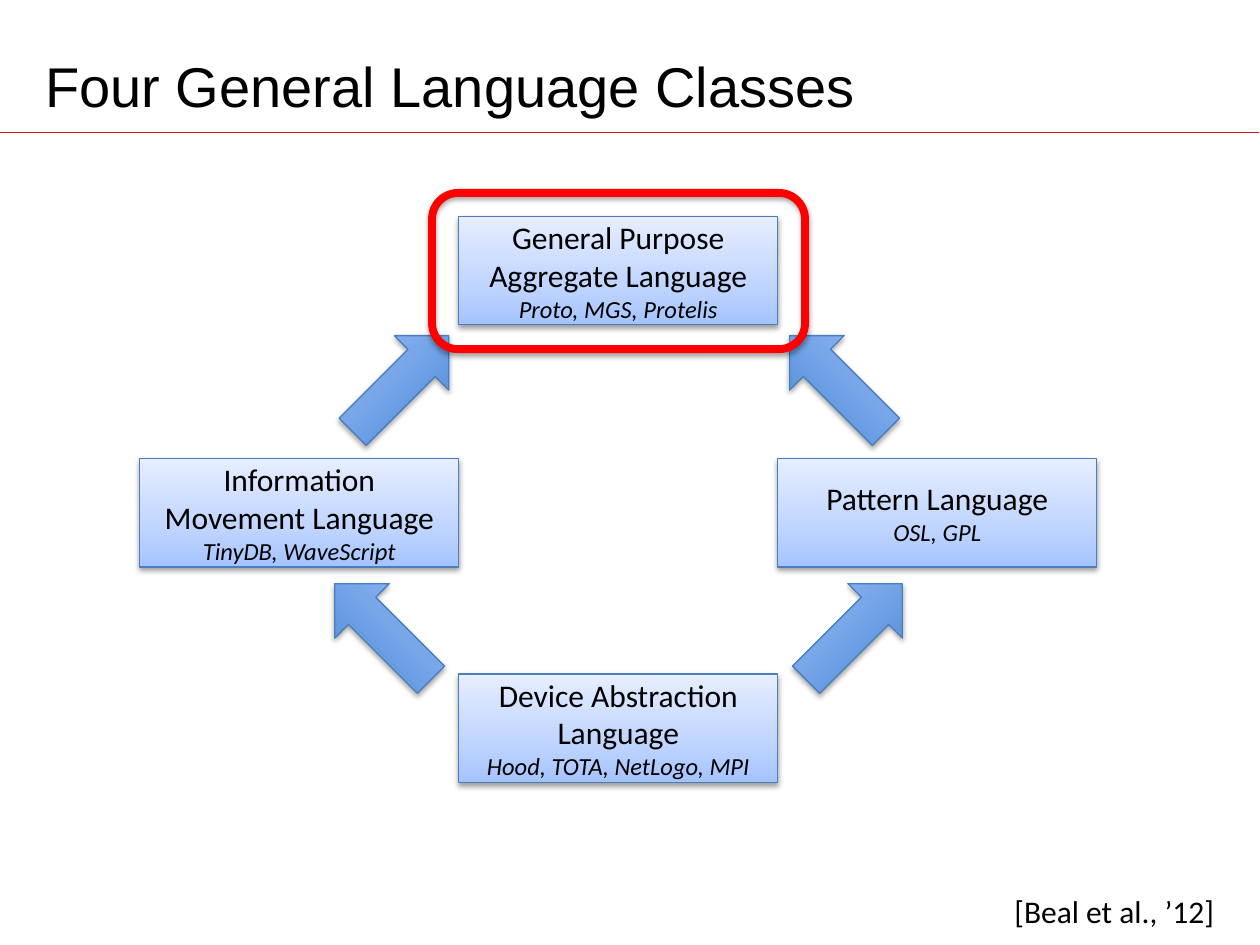
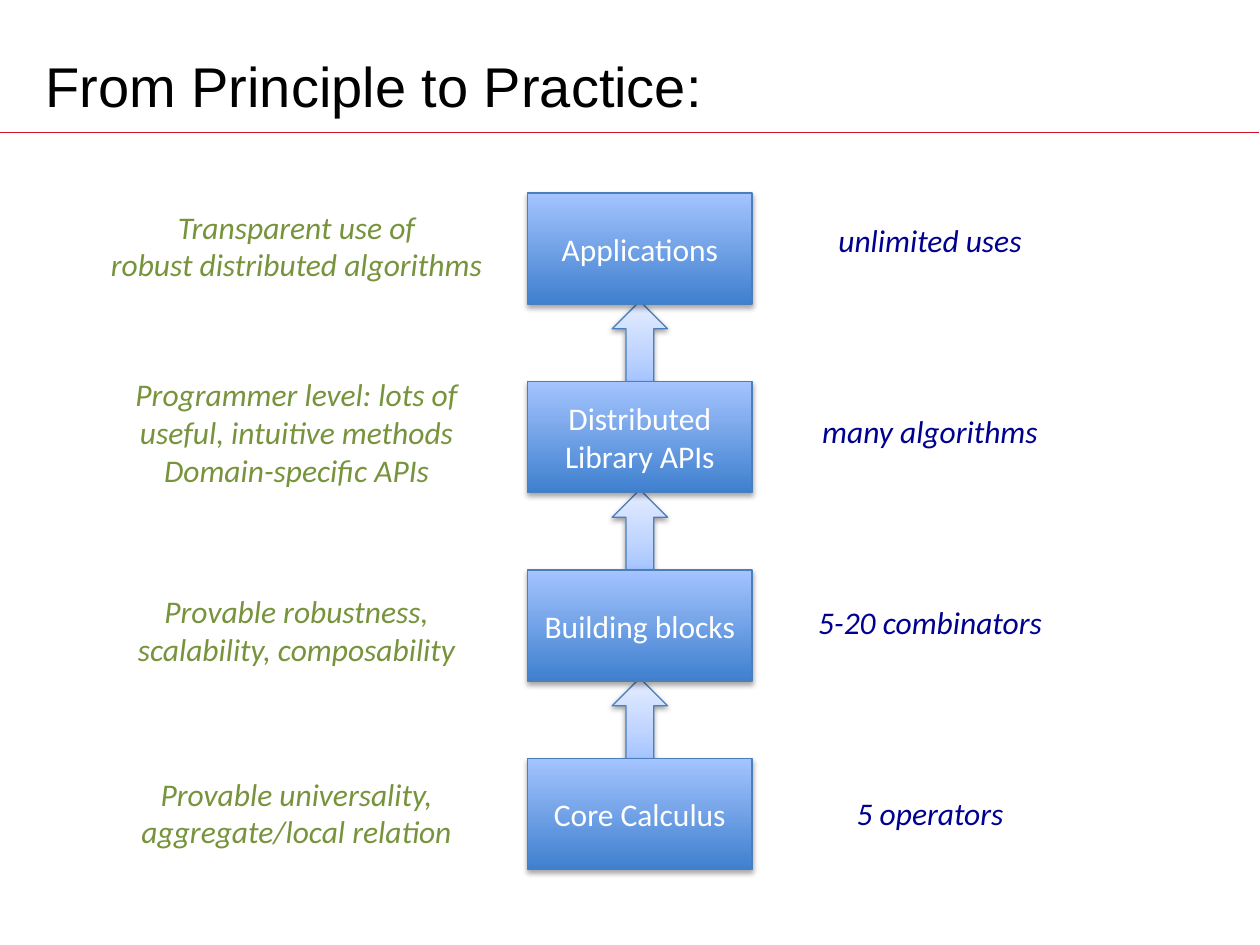
"""Build two slides on aggregate languages and their layers."""
import lxml.etree
import pptx
import pptx.dml.color
import pptx.enum.shapes
import pptx.enum.text
import pptx.oxml.ns
import pptx.util

Cm, Pt = pptx.util.Cm, pptx.util.Pt
qn = pptx.oxml.ns.qn
rgb = pptx.dml.color.RGBColor.from_string
Shape = pptx.enum.shapes.MSO_SHAPE
Align = pptx.enum.text.PP_ALIGN
Fit = pptx.enum.text.MSO_AUTO_SIZE
middle = pptx.enum.text.MSO_ANCHOR.MIDDLE

theme = {
    "rule": "CE1126",
    "edge": "4B7EBC",
    "ring": "FF0000",
    "light": {"stops": [(0, "A4C4FF"), (35, "BFD4FF"), (100, "E6EEFF")], "dist": 20000, "alpha": 38},
    "deep": {"stops": [(0, "3F80CE"), (100, "A4C4FF")], "dist": 23000, "alpha": 35},
    "clear": {"stops": [], "dist": 23000, "alpha": 35},
    "title": ("000000", {"name": "Arial", "size": Pt(32)}),
    "name": ("000000", {"name": "Calibri", "size": Pt(18)}),
    "case": ("000000", {"name": "Calibri", "size": Pt(14), "italic": True}),
    "layer": ("FFFFFF", {"name": "Calibri", "size": Pt(18)}),
    "claim": ("77933C", {"name": "Calibri", "size": Pt(18), "italic": True}),
    "count": ("000090", {"name": "Calibri", "size": Pt(18), "italic": True}),
}


def write(frame, rows, align=Align.CENTER, **form):
    """Fill a text frame with (text, style) rows."""
    for key, value in form.items():
        setattr(frame, key, value)
    for i, (text, style) in enumerate(rows):
        para = frame.add_paragraph() if i else frame.paragraphs[0]
        para.text, para.alignment = text, align
        color, font = theme[style]
        for key, value in font.items():
            setattr(para.font, key, value)
        para.font.color.rgb = rgb(color)


def draw(slide, kind, box, look, edge=theme["edge"], width=0.75):
    """Add a shape with the gradient and shadow of a look."""
    shape = slide.shapes.add_shape(kind, *map(Cm, box))
    shape.line.color.rgb, shape.line.width = rgb(edge), Pt(width)
    look = theme[look]
    if look["stops"]:
        shape.fill.gradient()
        shape.fill.gradient_angle = 90
        stops = shape.element.spPr.find(".//" + qn("a:gsLst"))
        for old in list(stops):
            stops.remove(old)
        for place, color in look["stops"]:
            stop = lxml.etree.SubElement(stops, qn("a:gs"), pos=str(place * 1000))
            lxml.etree.SubElement(stop, qn("a:srgbClr"), val=color)
    else:
        shape.fill.background()
    shape.shadow.inherit = False
    effect = shape.element.spPr.find(qn("a:effectLst"))
    shade = lxml.etree.SubElement(effect, qn("a:outerShdw"), blurRad="40000",
                                  dist=str(look["dist"]), dir="5400000", rotWithShape="0")
    tint = lxml.etree.SubElement(shade, qn("a:srgbClr"), val="000000")
    lxml.etree.SubElement(tint, qn("a:alpha"), val=str(look["alpha"] * 1000))
    return shape


deck = pptx.Presentation()
deck.slide_width, deck.slide_height = Cm(25.4), Cm(19.05)
layout = deck.slide_layouts[5]
head = layout.placeholders[0]
head.left, head.top, head.width, head.height = map(Cm, (0.66, 0.76, 22.86, 1.9))
head.text_frame.vertical_anchor = middle

slides = []
for title in ("Four General Language Classes", "From Principle to Practice:"):
    slide = deck.slides.add_slide(layout)
    write(slide.shapes.title.text_frame, [(title, "title")], Align.LEFT)
    slides.append(slide)
ring, stack = slides

rule = ring.shapes.add_connector(pptx.enum.shapes.MSO_CONNECTOR.STRAIGHT,
                                 Cm(0), Cm(2.67), Cm(25.37), Cm(2.67))
rule.line.color.rgb, rule.line.width = rgb(theme["rule"]), Pt(1)
lxml.etree.SubElement(rule.element.spPr, qn("a:effectLst"))
layout.shapes.element.append(rule.element)

cite = ring.shapes.add_textbox(*map(Cm, (20.22, 17.83, 4.78, 0.86)))
write(cite.text_frame, [("[Beal et al., ’12]", "name")], Align.LEFT, word_wrap=False,
      margin_left=Cm(0.23), margin_top=Cm(0.15), margin_right=Cm(0.23), margin_bottom=Cm(0.1))

wide, high = 6.43, 2.18
for col, top, names, case in (
    (1, 4.37, ["General Purpose", "Aggregate Language"], "Proto, MGS, Protelis"),
    (1, 13.59, ["Device Abstraction Language"], "Hood, TOTA, NetLogo, MPI"),
    (0, 9.25, ["Information Movement Language"], "TinyDB, WaveScript"),
    (2, 9.25, ["Pattern Language"], "OSL, GPL"),
):
    node = draw(ring, Shape.RECTANGLE, (2.82 + col * wide, top, wide, high), "light")
    rows = [(name, "name") for name in names] + [(case, "case")]
    write(node.text_frame, rows, word_wrap=True, vertical_anchor=middle)

for left, top, flip in ((15.85, 11.96, False), (6.71, 6.96, False),
                        (6.35, 11.96, True), (15.52, 6.96, True)):
    arrow = draw(ring, Shape.RIGHT_ARROW, (left, top, 2.74, 1.55), "deep")
    arrow.rotation = 45 if flip else 315
    if flip:
        arrow.element.spPr.find(qn("a:xfrm")).set("flipH", "1")

draw(ring, Shape.ROUNDED_RECTANGLE, (8.71, 3.89, 7.52, 3.15), "clear", theme["ring"], 4.5)

step = 3.8
for i in range(3):
    draw(stack, Shape.UP_ARROW, (12.34, 6.07 + i * step, 1.12, 1.63), "light")
for i, name in enumerate(("Applications", "Distributed Library APIs",
                          "Building blocks", "Core Calculus")):
    layer = draw(stack, Shape.RECTANGLE, (10.64, 3.89 + i * step, 4.52, 2.24), "deep")
    write(layer.text_frame, [(name, "layer")], word_wrap=True, vertical_anchor=middle)

claims = [
    (4.06, 8.23, ["Transparent use of", "robust distributed algorithms"]),
    (7.44, 7.24, ["Programmer level: lots of", "useful, intuitive methods",
                  "Domain-specific APIs"]),
    (11.81, 7.14, ["Provable robustness,", "scalability, composability"]),
    (15.49, 6.99, ["Provable universality,", "aggregate/local relation"]),
]
counts = [(4.34 + i * 3.85, size, [text]) for i, (size, text) in enumerate((
    (4.39, "unlimited uses"), (5.05, "many algorithms"),
    (5.23, "5-20 combinators"), (3.66, "5 operators")))]
for style, mid, notes in (("claim", 5.98, claims), ("count", 18.75, counts)):
    for top, size, lines in notes:
        box = (mid - size / 2, top, size, 0.27 + 0.76 * len(lines))
        note = stack.shapes.add_textbox(*map(Cm, box))
        write(note.text_frame, [(line, style) for line in lines],
              word_wrap=False, auto_size=Fit.SHAPE_TO_FIT_TEXT)

deck.save("out.pptx")
